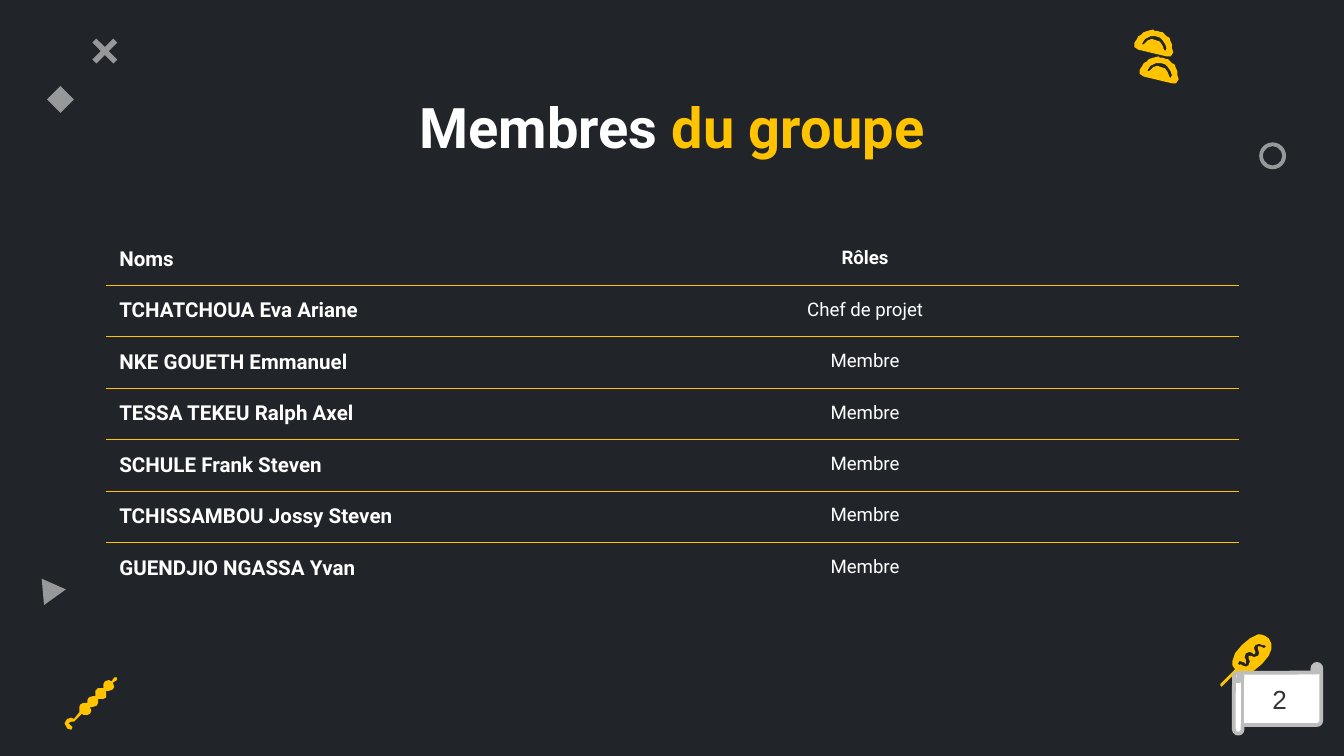
from lxml.etree import SubElement
from pptx import Presentation
from pptx.dml.color import RGBColor
from pptx.enum.shapes import MSO_SHAPE as Shape
from pptx.enum.text import MSO_ANCHOR as Anchor, PP_ALIGN as Align
from pptx.oxml.ns import qn
from pptx.util import Pt

WHITE, YELLOW, DARK, SILVER, INK = "FFFFFF", "FFC300", "212529", "BDBDBD", "333333"
INSET = 7.2
MARGINS = ("margin_left", "margin_right", "margin_top", "margin_bottom")

MEMBERS = [
    ("Noms", "Rôles"),
    ("TCHATCHOUA Eva Ariane", "Chef de projet"),
    ("NKE GOUETH Emmanuel", "Membre"),
    ("TESSA TEKEU Ralph Axel", "Membre"),
    ("SCHULE Frank Steven", "Membre"),
    ("TCHISSAMBOU Jossy Steven", "Membre"),
    ("GUENDJIO NGASSA Yvan", "Membre"),
]

ORNAMENTS = [
    (Shape.DONUT, (674.6, 76.3, 14.4, 14.4), 0.14, 0),
    (Shape.MATH_MULTIPLY, (45.4, 16.6, 21.6, 21.6), 0.14, 0),
    (Shape.ISOSCELES_TRIANGLE, (18.7, 308.9, 14.4, 12.2), 0.5, 324.4),
    (Shape.DIAMOND, (25.2, 46.1, 14.4, 14.4), None, 0),
]

DUMPLING = [
    [(865, 43), (863, 43), (862, 42), (858, 43), (855, 44), (853, 46), (851, 47),
     (850, 49), (848, 52), (848, 55), (851, 57), (872, 62), (875, 62), (877, 59),
     (876, 56), (876, 53), (875, 51), (874, 48), (872, 47), (869, 44), (868, 44)],
    [(864, 47), (867, 48), (869, 50), (871, 53), (872, 56), (871, 58), (870, 57),
     (869, 54), (867, 51), (864, 50), (861, 49), (858, 50), (855, 53), (854, 53),
     (854, 52), (856, 49), (860, 47)],
]

CORN_DOG = [
    [(938, 472), (936, 472), (930, 475), (924, 480), (919, 486), (917, 492),
     (917, 495), (919, 498), (908, 509), (908, 510), (909, 511), (910, 510),
     (920, 500), (923, 502), (927, 502), (933, 499), (939, 494), (944, 488),
     (946, 483), (946, 479), (944, 475), (941, 473)],
    [(937, 479), (939, 480), (940, 480), (941, 480), (942, 481), (941, 482),
     (940, 482), (938, 481), (937, 481), (936, 481), (936, 483), (937, 486),
     (936, 488), (933, 489), (931, 488), (930, 488), (929, 488), (929, 490),
     (930, 492), (929, 495), (927, 496), (924, 495), (923, 494), (923, 495),
     (921, 494), (922, 492), (923, 492), (926, 493), (927, 494), (927, 493),
     (927, 491), (926, 489), (927, 486), (930, 485), (932, 486), (933, 487),
     (934, 486), (934, 485), (933, 482), (934, 480)],
]

SKEWER = [
    [(86, 504), (85, 504), (83, 507), (81, 506), (78, 507), (77, 509), (77, 512),
     (73, 512), (71, 514), (71, 518), (69, 518), (66, 519), (65, 521), (65, 523),
     (62, 523), (60, 524), (59, 526), (59, 530), (55, 535), (53, 534), (50, 535),
     (48, 538), (50, 542), (53, 543), (54, 541), (53, 540), (51, 538), (53, 537),
     (54, 537), (55, 537), (61, 531), (62, 532), (65, 532), (67, 531), (68, 529),
     (67, 526), (69, 526), (72, 525), (73, 523), (73, 520), (77, 520), (79, 519),
     (79, 514), (81, 514), (84, 513), (85, 511), (84, 508), (87, 506), (87, 504)],
]


def color(value):
    return RGBColor.from_string(value)


def apply(target, values):
    for name, value in values.items():
        setattr(target, name, value)


class SlideBuilder:
    def __init__(self, slide):
        self.slide = slide
        self.title_font = {"name": "Roboto", "size": Pt(30), "bold": True}
        self.name_font = {"name": "Roboto", "size": Pt(11), "bold": True}
        self.role_font = {"name": "Roboto", "size": Pt(10), "bold": False}
        self.number_font = {"name": "Arial", "size": Pt(14), "bold": False}
        self.insets = dict.fromkeys(MARGINS, Pt(INSET))
        slide.background.fill.solid()
        slide.background.fill.fore_color.rgb = color(DARK)

    def paint(self, shape, fill, opacity=None):
        shape.shadow.inherit = False
        shape.fill.solid()
        shape.fill.fore_color.rgb = color(fill)
        shape.line.fill.background()
        if opacity:
            for tint in shape.element.spPr.iter(qn("a:srgbClr")):
                SubElement(tint, qn("a:alpha"), val=str(opacity * 1000))

    def add_text(self, paragraph, text, font, fill):
        run = paragraph.add_run()
        run.text = text
        apply(run.font, font)
        run.font.color.rgb = color(fill)

    def title(self, box, parts):
        shape = self.slide.shapes.title
        apply(shape, dict(zip(("left", "top", "width", "height"), map(Pt, box))))
        apply(shape.text_frame, {**self.insets, "vertical_anchor": Anchor.TOP, "word_wrap": True})
        paragraph = shape.text_frame.paragraphs[0]
        paragraph.alignment = Align.CENTER
        for text, fill in parts:
            self.add_text(paragraph, text, self.title_font, fill)

    def ornament(self, kind, box, adjustment, rotation):
        shape = self.slide.shapes.add_shape(kind, *map(Pt, box))
        shape.rotation = rotation
        if adjustment is not None:
            shape.adjustments[0] = adjustment
        self.paint(shape, WHITE, 53)

    def drawing(self, contours, shift_x=0, shift_y=0):
        moved = [[(x + shift_x, y + shift_y) for x, y in contour] for contour in contours]
        builder = self.slide.shapes.build_freeform(*moved[0][0], scale=Pt(0.72))
        builder.add_line_segments(moved[0][1:])
        for contour in moved[1:]:
            builder.move_to(*contour[0])
            builder.add_line_segments(contour[1:])
        self.paint(builder.convert_to_shape(), YELLOW)

    def borders(self, cell, top, bottom):
        properties = cell._tc.get_or_add_tcPr()
        for side, shown in (("L", False), ("R", False), ("T", top), ("B", bottom)):
            line = SubElement(properties, qn(f"a:ln{side}"), w=str(Pt(0.75)))
            if shown:
                fill = SubElement(line, qn("a:solidFill"))
                SubElement(fill, qn("a:srgbClr"), val=YELLOW)
            else:
                SubElement(line, qn("a:noFill"))

    def table(self, left, top, widths, row_height, rows):
        size = (sum(widths), row_height * len(rows))
        frame = self.slide.shapes.add_table(
            len(rows), len(widths), Pt(left), Pt(top), *map(Pt, size))
        table = frame.table
        apply(table, {"first_row": False, "horz_banding": False})
        for column, width in zip(table.columns, widths):
            column.width = Pt(width)
        for index, (row, texts) in enumerate(zip(table.rows, rows)):
            row.height = Pt(row_height)
            for position, (cell, text) in enumerate(zip(row.cells, texts)):
                apply(cell, self.insets)
                self.borders(cell, index > 0, index < len(rows) - 1)
                cell.fill.background()
                paragraph = cell.text_frame.paragraphs[0]
                font = self.name_font
                if position:
                    font = {**self.role_font, "bold": index == 0}
                    apply(paragraph, {"alignment": Align.CENTER, "space_after": Pt(16)})
                self.add_text(paragraph, text, font, WHITE)

    def page_number(self, box, text):
        shape = self.slide.shapes.add_shape(Shape.HORIZONTAL_SCROLL, *map(Pt, box))
        self.paint(shape, WHITE)
        shape.line.color.rgb = color(SILVER)
        shape.line.width = Pt(2)
        shape.text_frame.vertical_anchor = Anchor.MIDDLE
        paragraph = shape.text_frame.paragraphs[0]
        paragraph.alignment = Align.CENTER
        self.add_text(paragraph, text, self.number_font, INK)


def main():
    presentation = Presentation()
    presentation.slide_width, presentation.slide_height = Pt(720), Pt(405)
    builder = SlideBuilder(presentation.slides.add_slide(presentation.slide_layouts[5]))
    for ornament in ORNAMENTS:
        builder.ornament(*ornament)
    builder.drawing(DUMPLING)
    builder.drawing(DUMPLING, -4, -20)
    builder.drawing(CORN_DOG)
    builder.drawing(SKEWER)
    builder.title((56.7, 42.5, 606.9, 37.4), [("Membres ", WHITE), ("du groupe", YELLOW)])
    builder.table(56.7, 125.3, (206.6, 400.3), 27.6, MEMBERS)
    builder.page_number((661, 355.7, 46.8, 37.4), "2")
    presentation.save("out.pptx")


if __name__ == "__main__":
    main()
